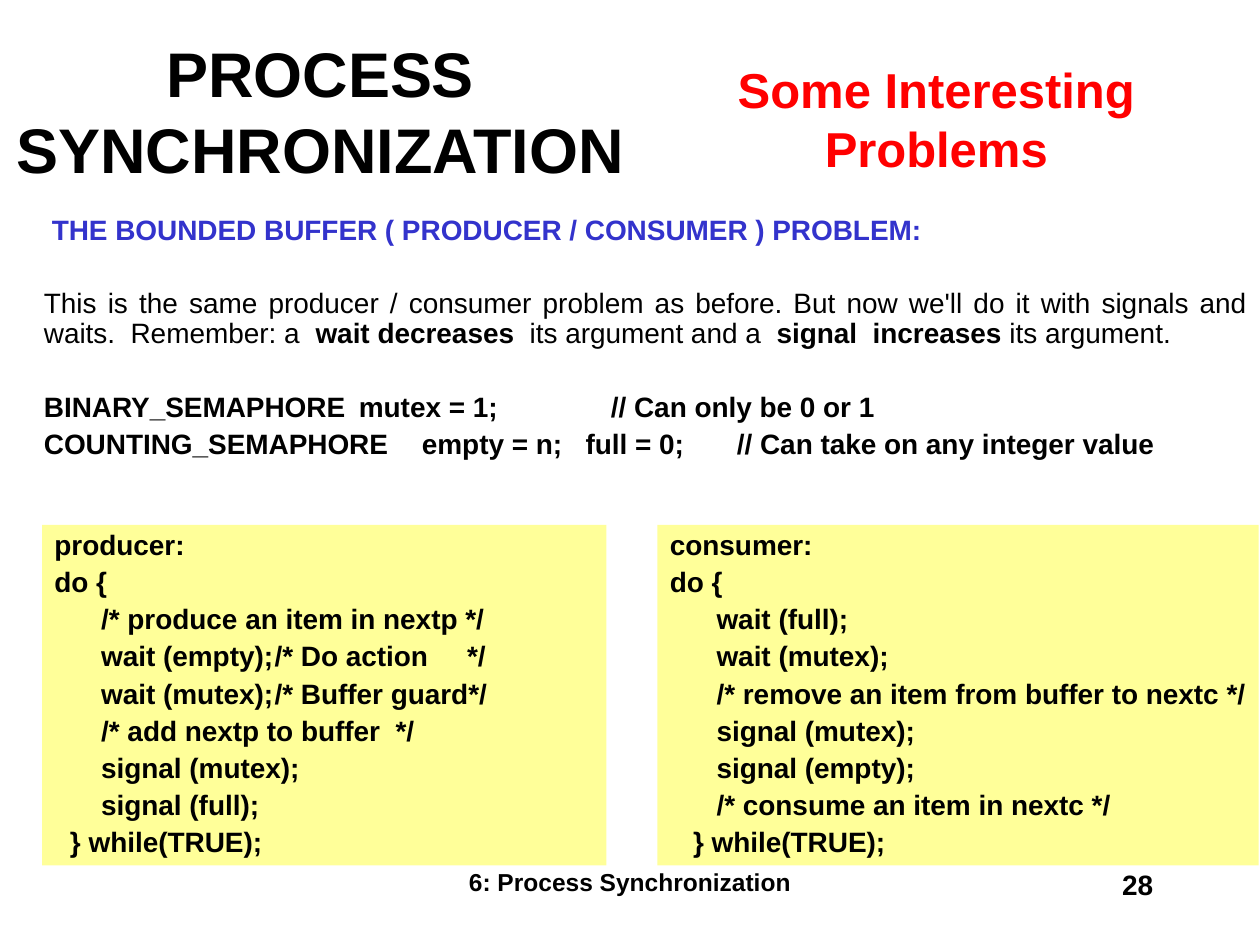
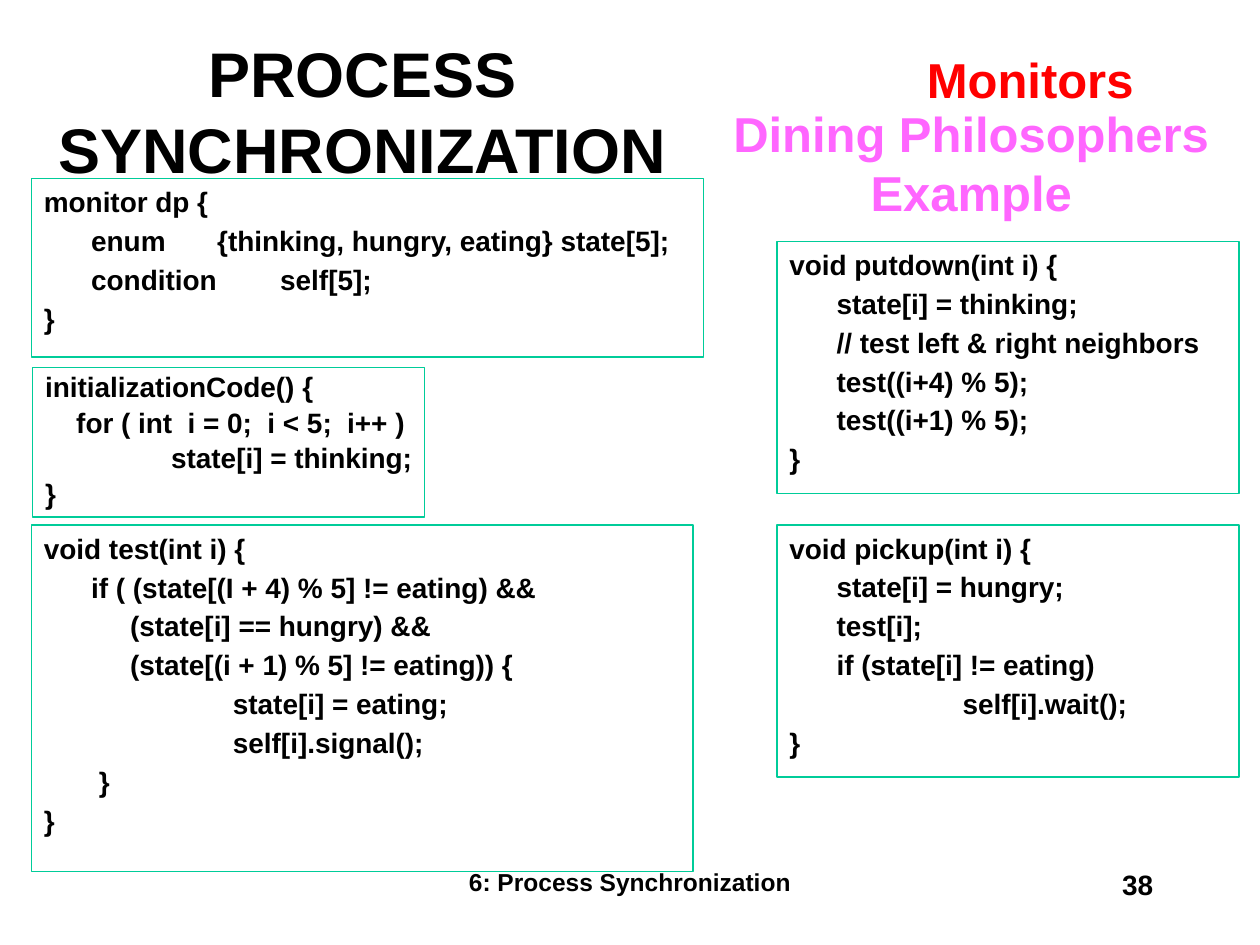
from dataclasses import dataclass
from typing import Any, Optional

from pptx import Presentation
from pptx.dml.color import RGBColor
from pptx.enum.shapes import MSO_SHAPE as Preset
from pptx.enum.text import MSO_ANCHOR as Anchor, PP_ALIGN as Align
from pptx.util import Pt

COLORS = {
    "text": "000000",
    "topic": "FF0000",
    "example": "FF66FF",
    "heading": "3333CC",
    "code_fill": "FFFF99",
    "code_line": "00CC99",
}
FONT = "Arial"
COURSE_TITLE = "PROCESS SYNCHRONIZATION"
CHAPTER = "6: Process Synchronization"
STEP = 27
CODE_STEP = 26.7
SECTION_GAP = 24.6


@dataclass(frozen=True)
class Run:
    text: str
    bold: bool = True
    color: str = "text"
    gap: float = 0


@dataclass(frozen=True)
class Line:
    runs: tuple[Run, ...]
    indent: float = 0
    first: float = 0
    before: Optional[float] = None


@dataclass(frozen=True)
class Style:
    size: float = 16
    align: Align = Align.LEFT
    anchor: Anchor = Anchor.TOP
    spacing: float = 1.0
    before: float = 0
    right_inset: float = 7.2


@dataclass(frozen=True)
class Box:
    left: float
    top: float
    width: float
    height: float
    lines: tuple[Line, ...]
    style: Style
    fill: Optional[str] = None
    outline: Optional[str] = None


TITLE = Style(36, Align.CENTER, Anchor.MIDDLE)
TOPIC = Style(28, Align.CENTER, Anchor.MIDDLE)
BODY = Style(align=Align.JUSTIFY, spacing=0.9, before=4)
CODE = Style(spacing=0.9, before=4, right_inset=0)
MONITOR_CODE = Style(before=3, right_inset=0)
INIT_CODE = Style(spacing=0.9, before=3, right_inset=0)
FOOTER = Style(14, Align.CENTER)
NUMBER = Style(16, Align.RIGHT)


def apply(target: Any, values: dict[str, Any]) -> None:
    for name, value in values.items():
        setattr(target, name, value)


def rgb(name: str) -> RGBColor:
    return RGBColor.from_string(COLORS[name])


def line(text: str, indent: float = 0, color: str = "text") -> Line:
    return Line((Run(text, color=color),), indent)


def code(*rows: tuple[float, str]) -> tuple[Line, ...]:
    return tuple(line(text, indent) for indent, text in rows)


def draw_line(paragraph: Any, content: Line, style: Style) -> None:
    before = style.before if content.before is None else content.before
    apply(paragraph, {
        "alignment": style.align,
        "line_spacing": style.spacing,
        "space_before": Pt(before),
    })
    properties = paragraph._p.get_or_add_pPr()
    properties.set("marL", str(Pt(content.indent)))
    properties.set("indent", str(Pt(content.first)))
    for part in content.runs:
        run = paragraph.add_run()
        run.text = part.text
        apply(run.font, {"name": FONT, "size": Pt(style.size), "bold": part.bold})
        run.font.color.rgb = rgb(part.color)
        if part.gap:
            run._r.get_or_add_rPr().set("spc", str(round(part.gap * 100)))


def draw_box(slide: Any, box: Box) -> None:
    place = [Pt(value) for value in (box.left, box.top, box.width, box.height)]
    if box.fill or box.outline:
        shape = slide.shapes.add_shape(Preset.RECTANGLE, *place)
        shape.shadow.inherit = False
        if box.fill:
            shape.fill.solid()
            shape.fill.fore_color.rgb = rgb(box.fill)
        else:
            shape.fill.background()
        if box.outline:
            shape.line.color.rgb = rgb(box.outline)
            shape.line.width = Pt(0.75)
        else:
            shape.line.fill.background()
    else:
        shape = slide.shapes.add_textbox(*place)
    frame = shape.text_frame
    apply(frame, {
        "word_wrap": True,
        "vertical_anchor": box.style.anchor,
        "margin_left": Pt(7.2),
        "margin_right": Pt(box.style.right_inset),
        "margin_top": Pt(3.6),
        "margin_bottom": Pt(3.6),
    })
    for index, content in enumerate(box.lines):
        paragraph = frame.add_paragraph() if index else frame.paragraphs[0]
        draw_line(paragraph, content, box.style)


def draw_slide(deck: Any, number: int, title_left: float, title_width: float,
               boxes: tuple[Box, ...]) -> None:
    slide = deck.slides.add_slide(deck.slide_layouts[6])
    shared = (
        Box(title_left, 18, title_width, 90, (line(COURSE_TITLE),), TITLE),
        Box(246, 492, 228, 36, (line(CHAPTER),), FOOTER),
        Box(516, 492, 150, 36, (line(str(number)),), NUMBER),
    )
    for box in boxes + shared:
        draw_box(slide, box)


def guarded_wait(call: str, *comment: Run) -> Line:
    tab_base = 17.8
    return Line((Run(f"{call}\t"), *comment), tab_base, CODE_STEP - tab_base)


PROBLEM = (
    line("THE BOUNDED BUFFER ( PRODUCER / CONSUMER ) PROBLEM:", 4.5, "heading"),
    Line((
        Run("This is the same producer / consumer problem as before. But now we'll "
            "do it with signals and waits.  Remember: a  ", False),
        Run("wait decreases"),
        Run("  its argument and a  ", False),
        Run("signal  increases"),
        Run(" its argument.", False),
    ), before=SECTION_GAP),
    Line((Run("BINARY_SEMAPHORE\tmutex = 1;\t\t// Can only be 0 or 1"),),
         before=SECTION_GAP),
    Line((
        Run("COUNTING_SEMAPHORE\tempty = n;"),
        Run(" ", gap=8.9),
        Run("full = 0;\t// Can take on any integer value"),
    )),
)

PRODUCER = (
    *code((0, "producer:"), (0, "do {"),
          (CODE_STEP, "/* produce an item in nextp */")),
    guarded_wait("wait (empty);", Run("/* Do action"), Run(" ", gap=17.8), Run("*/")),
    guarded_wait("wait (mutex);", Run("/* Buffer guard*/")),
    *code((CODE_STEP, "/* add nextp to buffer  */"),
          (CODE_STEP, "signal (mutex);"),
          (CODE_STEP, "signal (full);"),
          (8.9, "} while(TRUE);")),
)

CONSUMER = code(
    (0, "consumer:"),
    (0, "do {"),
    (CODE_STEP, "wait (full);"),
    (CODE_STEP, "wait (mutex);"),
    (CODE_STEP, "/* remove an item from buffer to nextc */"),
    (CODE_STEP, "signal (mutex);"),
    (CODE_STEP, "signal (empty);"),
    (CODE_STEP, "/* consume an item in nextc */"),
    (13.3, "} while(TRUE);"),
)

MONITOR = code(
    (0, "monitor dp {"),
    (STEP, "enum\t{thinking, hungry, eating} state[5];"),
    (STEP, "condition \tself[5];"),
    (0, "}"),
)

INITIALIZATION = code(
    (0, "initializationCode() {"),
    (17.8, "for ( int  i = 0;  i < 5;  i++ )"),
    (72, "state[i] = thinking;"),
    (0, "}"),
)

TEST = code(
    (0, "void test(int i) {"),
    (STEP, "if ( (state[(I + 4) % 5] != eating) &&"),
    (49.2, "(state[i] == hungry) &&"),
    (49.2, "(state[(i + 1) % 5] != eating)) {"),
    (108, "state[i] = eating;"),
    (108, "self[i].signal();"),
    (31.4, "}"),
    (0, "}"),
)

PUTDOWN = code(
    (0, "void putdown(int i) {"),
    (STEP, "state[i] = thinking;"),
    (STEP, "// test left & right neighbors"),
    (STEP, "test((i+4) % 5);"),
    (STEP, "test((i+1) % 5);"),
    (0, "}"),
)

PICKUP = code(
    (0, "void pickup(int i) {"),
    (STEP, "state[i] = hungry;"),
    (STEP, "test[i];"),
    (STEP, "if (state[i] != eating)"),
    (99, "self[i].wait();"),
    (0, "}"),
)

BOUNDED_BUFFER = (
    Box(18, 120, 702, 150, PROBLEM, BODY),
    Box(24, 300, 322.5, 194.5, PRODUCER, CODE, fill="code_fill"),
    Box(375.7, 300, 343.5, 194.5, CONSUMER, CODE, fill="code_fill"),
    Box(414.5, 30, 241, 75, (
        line("Some Interesting", color="topic"),
        line("Problems", color="topic"),
    ), TOPIC),
)

DINING_PHILOSOPHERS = (
    Box(390, 66, 330, 54, (line("Dining Philosophers Example", color="example"),), TOPIC),
    Box(492, 18, 193.5, 54, (line("Monitors", color="topic"),), TOPIC),
    *(Box(*place, lines, style, outline="code_line") for place, lines, style in (
        ((18, 102, 384, 102), MONITOR, MONITOR_CODE),
        ((18.7, 210, 224, 85.5), INITIALIZATION, INIT_CODE),
        ((444, 138, 264, 144), PUTDOWN, MONITOR_CODE),
        ((444, 300, 264, 144), PICKUP, MONITOR_CODE),
        ((18, 300, 378, 198), TEST, MONITOR_CODE),
    )),
)


def main() -> None:
    deck = Presentation()
    apply(deck, {"slide_width": Pt(720), "slide_height": Pt(540)})
    draw_slide(deck, 28, 0, 366, BOUNDED_BUFFER)
    draw_slide(deck, 38, 18, 378, DINING_PHILOSOPHERS)
    deck.save("out.pptx")


if __name__ == "__main__":
    main()
